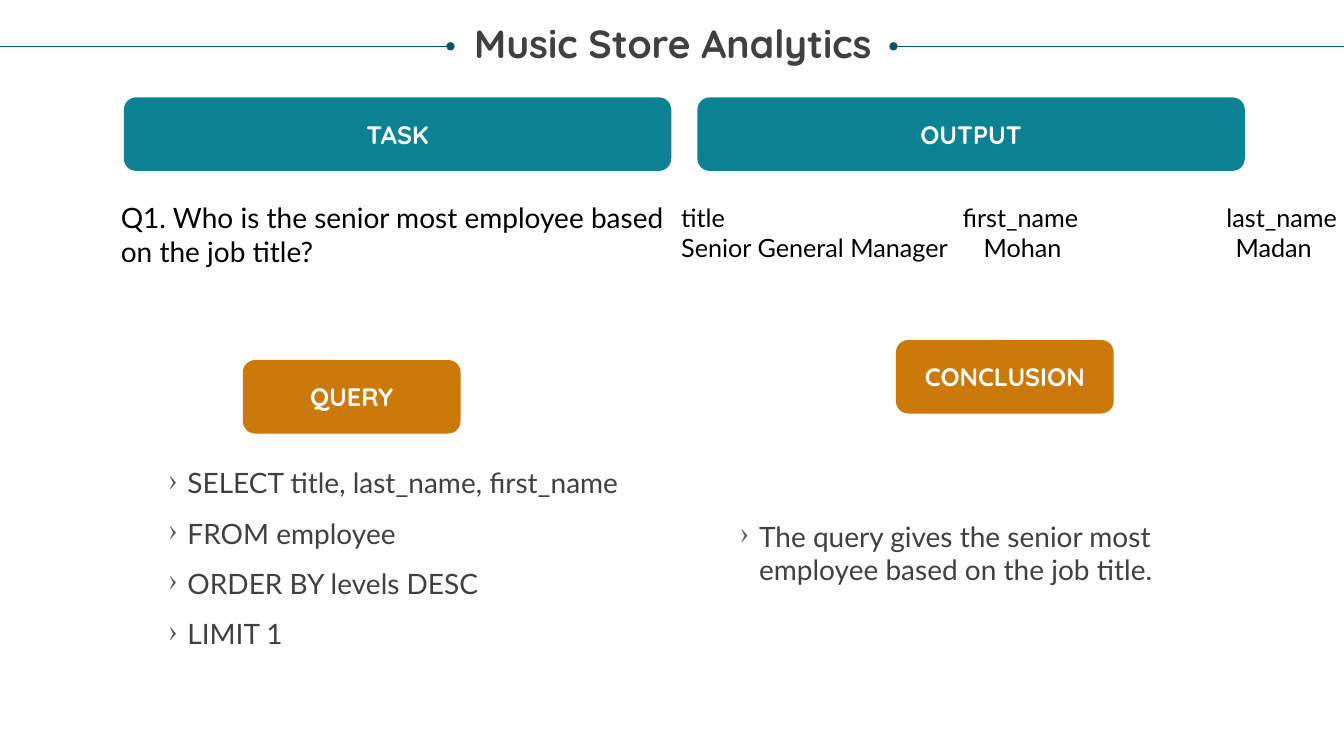
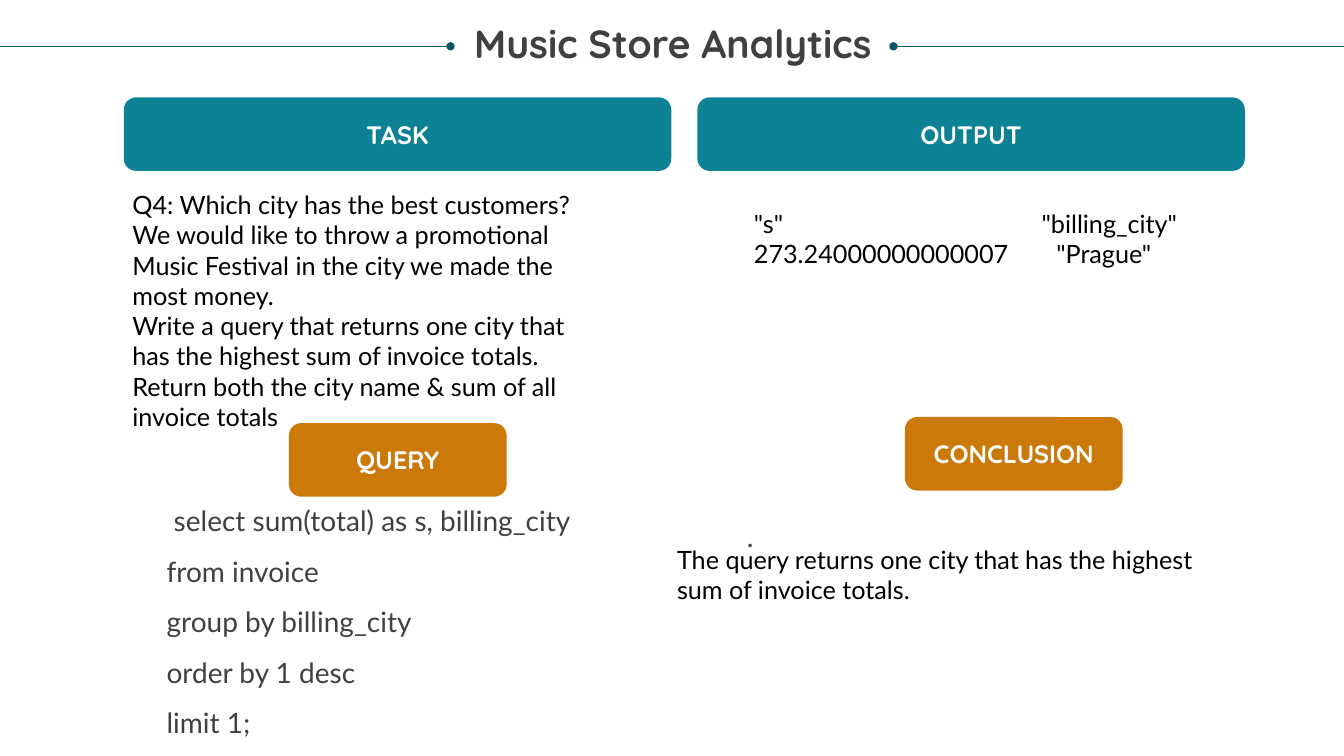
"""Build two query slides for a music store analysis."""
from dataclasses import dataclass

from lxml import etree
from pptx import Presentation
from pptx.dml.color import RGBColor
from pptx.enum import shapes, text
from pptx.oxml import ns
from pptx.util import Pt

COLORS = {
    "rule": "085764",
    "heading": "0D8295",
    "label": "CB7A09",
    "white": "FFFFFF",
    "code": "404040",
    "bullet": "585858",
    "body": "000000",
}
HEAD_FONT, BODY_FONT = "Quicksand", "Lato"
SLIDE_WIDTH, SLIDE_HEIGHT = 960, 540
RULE_Y = 33.1
BAND_HEIGHT = 52.5
BAND_WIDTH, LABEL_WIDTH = 391, 155.5


@dataclass(frozen=True)
class Band:
    caption: str
    left: float
    top: float
    width: float = LABEL_WIDTH
    color: str = "label"


@dataclass(frozen=True)
class Passage:
    left: float
    top: float
    width: float
    height: float
    lines: tuple[str, ...]
    size: float = 18
    color: str = "body"
    inset: tuple[float, float] = (7.2, 3.6)
    gap: float = 0
    bullet: str = ""
    tabs: tuple[tuple[float, ...], ...] = ()


@dataclass(frozen=True)
class Question:
    labels: tuple[Band, ...]
    passages: tuple[Passage, ...]


COLUMN_HEADS = (
    Band("TASK", 88.5, 69.6, BAND_WIDTH, "heading"),
    Band("OUTPUT", 498.2, 69.6, BAND_WIDTH, "heading"),
)


def listing(left: float, top: float, width: float, height: float,
            lines: tuple[str, ...], bullet: str = "") -> Passage:
    return Passage(left, top, width, height, lines, 20, "code", (0, 0), 12, bullet)


QUESTIONS = (
    Question(
        (Band("CONCLUSION", 640, 242.9), Band("QUERY", 173.5, 257.2)),
        (
            listing(120.2, 332.6, 327.6, 133.2,
                    ("SELECT title, last_name, first_name", "FROM employee",
                     "ORDER BY levels DESC", "LIMIT 1"), "›"),
            listing(528.5, 370.8, 327.6, 48.2,
                    ("The query gives the senior most employee based on the job title.",), "›"),
            Passage(479.5, 141.1, 506.2, 51.1,
                    ("title\tfirst_name\tlast_name", "Senior General Manager\tMohan\tMadan"),
                    tabs=((201, 389.5), (216, 396))),
            Passage(79.2, 139.7, 409.7, 55.4,
                    ("Q1. Who is the senior most employee based on the job title?",), 20),
        ),
    ),
    Question(
        (Band("CONCLUSION", 646.4, 297.9), Band("QUERY", 206.4, 302.3)),
        (
            listing(119, 360, 307.4, 180,
                    (" select sum(total) as s, billing_city", "from invoice",
                     "group by billing_city", "order by 1 desc", "limit 1;")),
            listing(533.5, 370.8, 322.6, 24.5, (".",)),
            Passage(87.5, 131.8, 340.6, 181.4,
                    ("Q4: Which city has the best customers? We would like to throw a promotional "
                     "Music Festival in the city we made the most money.",
                     "Write a query that returns one city that has the highest sum of invoice totals.",
                     "Return both the city name & sum of all invoice totals")),
            Passage(531.4, 145.4, 385.2, 51.1,
                    ('"s"\t"billing_city"', '273.24000000000007\t"Prague"'),
                    tabs=((205.5,), (216,))),
            Passage(476.6, 385.2, 412.6, 51.1,
                    ("The query returns one city that has the highest sum of invoice totals.",)),
        ),
    ),
)


def rgb(color: str) -> RGBColor:
    return RGBColor.from_string(COLORS[color])


def add_run(paragraph, words: str, size: float, font: str, color: str, bold: bool = False) -> None:
    run = paragraph.add_run()
    run.text = words
    run.font.size = Pt(size)
    run.font.name = font
    run.font.bold = bold
    run.font.color.rgb = rgb(color)


def set_margins(frame, across: float, down: float) -> None:
    frame.margin_left = frame.margin_right = Pt(across)
    frame.margin_top = frame.margin_bottom = Pt(down)


def add_title(slide) -> None:
    title = slide.shapes.title
    title.left, title.top, title.width, title.height = Pt(18.7), Pt(17.3), Pt(923.8), Pt(52.5)
    frame = title.text_frame
    frame.word_wrap = True
    frame.auto_size = text.MSO_AUTO_SIZE.NONE
    frame.vertical_anchor = text.MSO_ANCHOR.TOP
    set_margins(frame, 0, 0)
    heading = frame.paragraphs[0]
    heading.alignment = text.PP_ALIGN.CENTER
    heading.line_spacing = 0.9
    add_run(heading, "Music Store Analytics", 28, HEAD_FONT, "code", True)


def add_rule(slide, edge: float, dot: float) -> None:
    rule = slide.shapes.add_connector(
        shapes.MSO_CONNECTOR.STRAIGHT, Pt(edge), Pt(RULE_Y), Pt(dot), Pt(RULE_Y))
    rule.line.color.rgb = rgb("rule")
    rule.line.width = Pt(0.5)
    etree.SubElement(rule.line._get_or_add_ln(), ns.qn("a:tailEnd"), type="oval")
    etree.SubElement(rule._element.spPr, ns.qn("a:effectLst"))


def add_band(slide, band: Band) -> None:
    bar = slide.shapes.add_shape(
        shapes.MSO_SHAPE.ROUNDED_RECTANGLE,
        Pt(band.left), Pt(band.top), Pt(band.width), Pt(BAND_HEIGHT))
    bar.shadow.inherit = False
    bar.fill.solid()
    bar.fill.fore_color.rgb = rgb(band.color)
    bar.line.fill.background()
    bar.text_frame.vertical_anchor = text.MSO_ANCHOR.MIDDLE
    caption = bar.text_frame.paragraphs[0]
    caption.alignment = text.PP_ALIGN.CENTER
    add_run(caption, band.caption, 18, HEAD_FONT, "white", True)


def add_bullet(paragraph, symbol: str) -> None:
    properties = paragraph._p.get_or_add_pPr()
    properties.set("marL", str(Pt(13.7)))
    properties.set("indent", str(-Pt(13.7)))
    tint = etree.SubElement(properties, ns.qn("a:buClr"))
    etree.SubElement(tint, ns.qn("a:srgbClr"), val=COLORS["bullet"])
    etree.SubElement(properties, ns.qn("a:buChar"), char=symbol)


def add_tabs(paragraph, stops: tuple[float, ...]) -> None:
    tab_list = etree.SubElement(paragraph._p.get_or_add_pPr(), ns.qn("a:tabLst"))
    for stop in stops:
        etree.SubElement(tab_list, ns.qn("a:tab"), pos=str(Pt(stop)), algn="l")


def add_passage(slide, passage: Passage) -> None:
    frame = slide.shapes.add_textbox(
        Pt(passage.left), Pt(passage.top), Pt(passage.width), Pt(passage.height)).text_frame
    frame.word_wrap = True
    set_margins(frame, *passage.inset)
    for index, line in enumerate(passage.lines):
        paragraph = frame.add_paragraph() if index else frame.paragraphs[0]
        if passage.bullet:
            add_bullet(paragraph, passage.bullet)
        if passage.tabs:
            add_tabs(paragraph, passage.tabs[index])
        if index and passage.gap:
            paragraph.space_before = Pt(passage.gap)
        add_run(paragraph, line, passage.size, BODY_FONT, passage.color)


def add_question(deck, question: Question) -> None:
    slide = deck.slides.add_slide(deck.slide_layouts[5])
    add_title(slide)
    add_rule(slide, 0, 321.8)
    add_rule(slide, SLIDE_WIDTH, 638.2)
    for band in COLUMN_HEADS + question.labels:
        add_band(slide, band)
    for passage in question.passages:
        add_passage(slide, passage)


def main() -> None:
    deck = Presentation()
    deck.slide_width, deck.slide_height = Pt(SLIDE_WIDTH), Pt(SLIDE_HEIGHT)
    for question in QUESTIONS:
        add_question(deck, question)
    deck.save("out.pptx")


if __name__ == "__main__":
    main()
